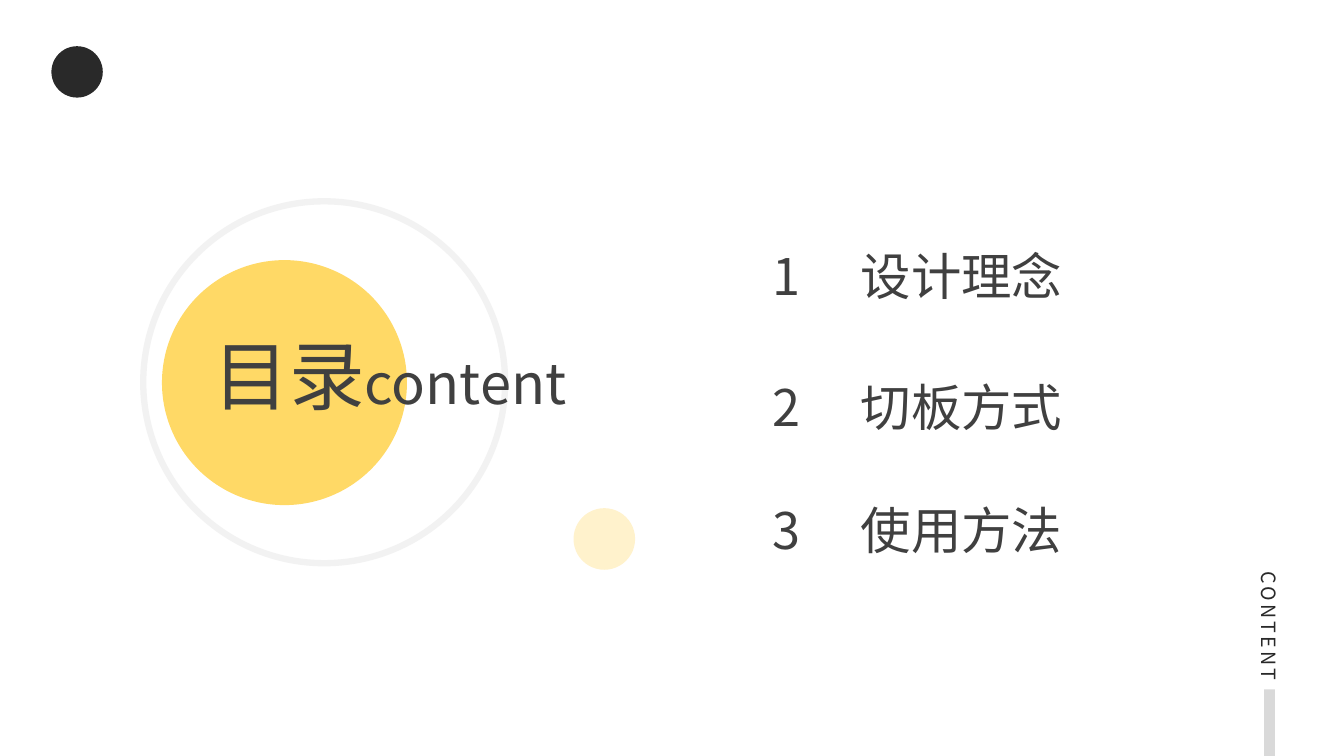
from lxml import etree
from pptx import Presentation
from pptx.dml.color import RGBColor
from pptx.enum.shapes import MSO_SHAPE as Shape
from pptx.enum.text import MSO_ANCHOR as Anchor, MSO_AUTO_SIZE as AutoSize, PP_ALIGN as Align
from pptx.oxml.ns import qn
from pptx.util import Pt

FONT = "Noto Sans CJK SC"
BLACK = RGBColor(0x29, 0x29, 0x29)
TEXT = RGBColor(0x40, 0x40, 0x40)
YELLOW = RGBColor(0xFF, 0xD9, 0x66)
CREAM = RGBColor(0xFF, 0xF2, 0xCC)
PALE = RGBColor(0xF2, 0xF2, 0xF2)
GREY = RGBColor(0xD9, 0xD9, 0xD9)

TOPICS = ["设计理念", "切板方式", "使用方法"]
TOPIC_GAPS = [0, 50.4, 44.6]
NUMBER_WIDTH = 63.2


def set_values(target, values):
    for name, value in values.items():
        setattr(target, name, value)


def place(shape, left, top, width, height):
    set_values(shape, {"left": Pt(left), "top": Pt(top),
                       "width": Pt(width), "height": Pt(height)})


def add_run(paragraph, text, size, color):
    run = paragraph.add_run()
    run.text = text
    set_values(run.font, {"name": FONT, "size": Pt(size), "bold": False})
    run.font.color.rgb = color
    properties = run.font._element
    east_asian = etree.SubElement(properties, qn("a:ea"))
    east_asian.set("typeface", FONT)
    return properties


def add_figure(slide, kind, box, fill=None, line=None, line_width=0):
    shape = slide.shapes.add_shape(kind, *map(Pt, box))
    shape.shadow.inherit = False
    if fill is None:
        shape.fill.background()
    else:
        shape.fill.solid()
        shape.fill.fore_color.rgb = fill
    if line is None:
        shape.line.fill.background()
    else:
        shape.line.color.rgb = line
        shape.line.width = Pt(line_width)


def add_circles(slide, left, top):
    # Corner dot, yellow disc, small cream disc and pale ring
    for x, y, size, style in [
        (0, 0, 36.7, {"fill": BLACK}),
        (79, 152.8, 175, {"fill": YELLOW}),
        (373, 330, 44, {"fill": CREAM}),
        (65.6, 110.8, 258.5, {"line": PALE, "line_width": 4.5}),
    ]:
        add_figure(slide, Shape.OVAL, (left + x, top + y, size, size), **style)


def add_title(slide, left, top, width, height):
    title = slide.shapes.title
    place(title, left, top, width, height)
    set_values(title.text_frame, {"word_wrap": True, "vertical_anchor": Anchor.TOP,
                                  "auto_size": AutoSize.SHAPE_TO_FIT_TEXT})
    paragraph = title.text_frame.paragraphs[0]
    paragraph.alignment = Align.LEFT
    add_run(paragraph, "目录", 54, TEXT)
    add_run(paragraph, "content", 40, TEXT)


def add_topics(slide, left, top, width, height):
    body = slide.placeholders[1]
    place(body, left, top, width, height)
    frame = body.text_frame
    set_values(frame, {"word_wrap": True, "vertical_anchor": Anchor.TOP,
                       "auto_size": AutoSize.NONE})
    for number, (topic, gap) in enumerate(zip(TOPICS, TOPIC_GAPS), 1):
        paragraph = frame.paragraphs[0] if number == 1 else frame.add_paragraph()
        set_values(paragraph, {"alignment": Align.LEFT, "space_before": Pt(gap)})
        # Hanging indent: the tab after the number leads to the topic
        properties = paragraph._p.get_or_add_pPr()
        properties.set("marL", str(Pt(NUMBER_WIDTH)))
        properties.set("indent", str(-Pt(NUMBER_WIDTH)))
        etree.SubElement(properties, qn("a:buNone"))
        add_run(paragraph, f"{number}\t{topic}", 36, TEXT)


def add_side_label(slide, left, top, width, height):
    # Vertical label above a bar that runs to the slide's lower edge
    label = slide.shapes.add_textbox(*map(Pt, (left, top, width, height)))
    frame = label.text_frame
    set_values(frame, {"word_wrap": True, "margin_left": Pt(5), "margin_right": Pt(5),
                       "margin_top": Pt(3), "margin_bottom": Pt(3)})
    frame._txBody.bodyPr.set("vert", "eaVert")
    add_run(frame.paragraphs[0], "CONTENT", 14, BLACK).set("spc", "220")
    add_figure(slide, Shape.RECTANGLE, (left + 10.7, top + 87, 7.7, 47.6), fill=GREY)


def main():
    presentation = Presentation()
    set_values(presentation, {"slide_width": Pt(960), "slide_height": Pt(540)})
    slide = presentation.slides.add_slide(presentation.slide_layouts[1])
    add_circles(slide, 36.7, 33)
    add_title(slide, 145.4, 231, 289.4, 72.7)
    add_topics(slide, 544.4, 171.6, 270, 245)
    add_side_label(slide, 892.3, 405.4, 28, 144.7)
    # Text placeholders go in front of the circles
    tree = slide.shapes._spTree
    for placeholder in list(slide.placeholders):
        tree.append(placeholder._element)
    presentation.save("out.pptx")


if __name__ == "__main__":
    main()
